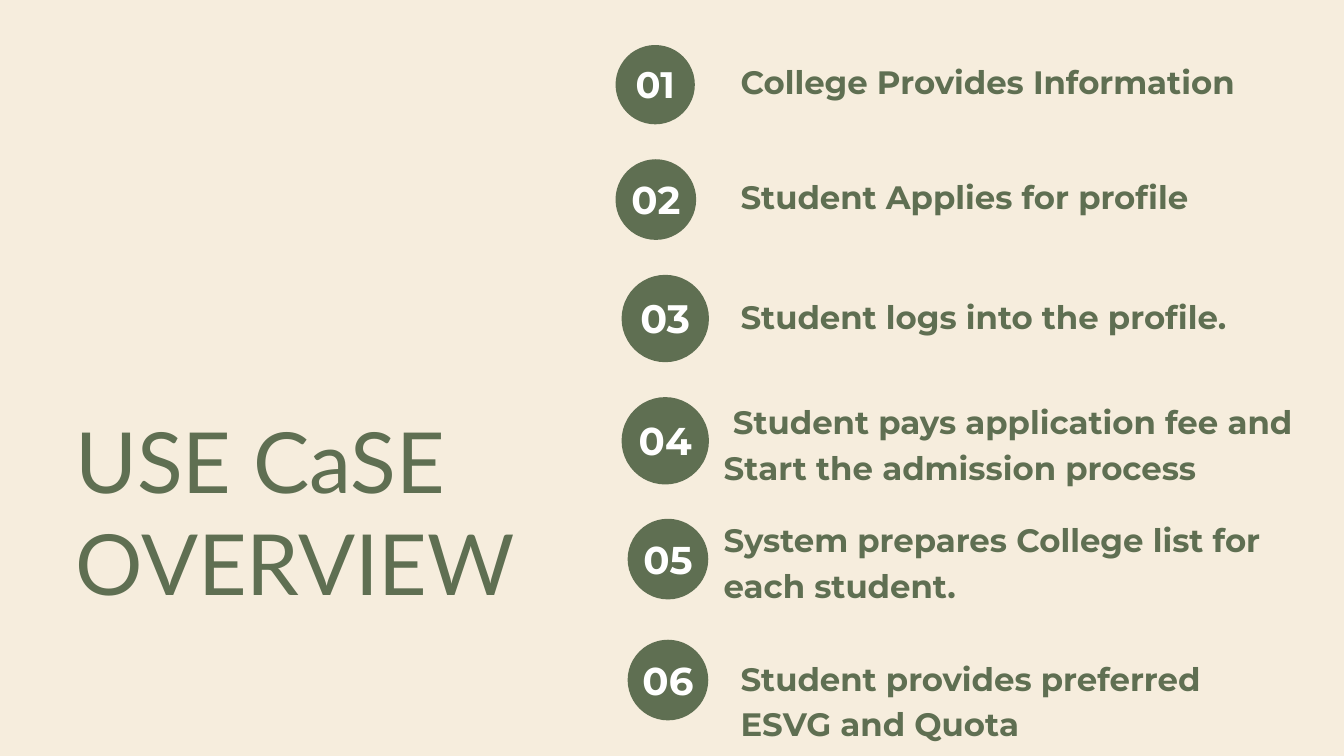
from typing import NamedTuple

from pptx import Presentation
from pptx.dml.color import RGBColor
from pptx.enum.shapes import MSO_SHAPE
from pptx.enum.text import MSO_ANCHOR, MSO_AUTO_SIZE, PP_ALIGN
from pptx.slide import Slide
from pptx.text.text import TextFrame
from pptx.util import Inches, Pt

CREAM = RGBColor(0xF6, 0xED, 0xDD)
GREEN = RGBColor(0x5F, 0x6F, 0x52)
WHITE = RGBColor(0xFF, 0xFF, 0xFF)


class Badge(NamedTuple):
    left: float
    top: float
    diameter: float
    number_size: float = 41.5
    leading: float = 58.1


class Step(NamedTuple):
    text: str
    left: float
    top: float
    width: float
    height: float
    badge: Badge


class TextStyle(NamedTuple):
    font: str
    size: float
    leading: float
    color: RGBColor = GREEN
    bold: bool = True
    align: PP_ALIGN = PP_ALIGN.LEFT
    anchor: MSO_ANCHOR = MSO_ANCHOR.TOP
    margin: float = 0


STEPS = [
    Step("College Provides Information", 11.02, 0.82, 7.59, 1.31,
         Badge(9.16, 0.67, 1.18, 39.5, 55.3)),
    Step("Student Applies for profile", 11.02, 2.54, 7.59, 1.31,
         Badge(9.16, 2.37, 1.2)),
    Step("Student logs into the profile.", 11.02, 4.32, 7.59, 1.31,
         Badge(9.25, 4.09, 1.3, 42.5, 59.5)),
    Step(" Student pays application fee and\nStart the admission process",
         10.77, 5.89, 8.98, 1.98, Badge(9.25, 5.91, 1.3)),
    Step("System prepares College list for each student.",
         10.77, 7.65, 8.18, 1.98, Badge(9.34, 7.72, 1.2)),
    Step("Student provides preferred ESVG and Quota",
         11.02, 9.71, 7.59, 1.31, Badge(9.34, 9.52, 1.2)),
]
TITLE_STYLE = TextStyle("Lato", 90.3, 109.3, bold=False)
STEP_STYLE = TextStyle("Montserrat", 34.7, 48.6)


def write(frame: TextFrame, text: str, style: TextStyle) -> None:
    """Fill the frame, one paragraph per line of text."""
    frame.text = text
    margin = Inches(style.margin)
    frame_format = {
        "word_wrap": True,
        "auto_size": MSO_AUTO_SIZE.NONE,
        "vertical_anchor": style.anchor,
        "margin_left": margin,
        "margin_top": margin,
        "margin_right": margin,
        "margin_bottom": margin,
    }
    for name, value in frame_format.items():
        setattr(frame, name, value)
    font_format = {"name": style.font, "size": Pt(style.size), "bold": style.bold}
    for paragraph in frame.paragraphs:
        paragraph.alignment = style.align
        paragraph.line_spacing = Pt(style.leading)
        for run in paragraph.runs:
            for name, value in font_format.items():
                setattr(run.font, name, value)
            run.font.color.rgb = style.color


def add_text(slide: Slide, text: str, left: float, top: float,
             width: float, height: float, style: TextStyle) -> None:
    box = slide.shapes.add_textbox(
        Inches(left), Inches(top), Inches(width), Inches(height))
    write(box.text_frame, text, style)


def add_badge(slide: Slide, badge: Badge, number: int) -> None:
    diameter = badge.diameter
    circle = slide.shapes.add_shape(
        MSO_SHAPE.OVAL, Inches(badge.left), Inches(badge.top),
        Inches(diameter), Inches(diameter))
    circle.shadow.inherit = False
    circle.fill.solid()
    circle.fill.fore_color.rgb = GREEN
    circle.line.fill.background()
    number_style = TextStyle(
        "Montserrat", badge.number_size, badge.leading, WHITE,
        align=PP_ALIGN.CENTER, anchor=MSO_ANCHOR.MIDDLE, margin=0.06)
    add_text(slide, f"{number:02}", badge.left + 0.09 * diameter, badge.top - 0.02,
             0.82 * diameter, 0.93 * diameter, number_style)


def add_title(slide: Slide, text: str) -> None:
    title = slide.shapes.title
    position = {"left": 1.12, "top": 6.07, "width": 7.28, "height": 3.02}
    for name, value in position.items():
        setattr(title, name, Inches(value))
    write(title.text_frame, text, TITLE_STYLE)


def main() -> None:
    presentation = Presentation()
    presentation.slide_width = Inches(20)
    presentation.slide_height = Inches(11.25)
    slide = presentation.slides.add_slide(
        presentation.slide_layouts.get_by_name("Title Only"))
    slide.background.fill.solid()
    slide.background.fill.fore_color.rgb = CREAM

    add_title(slide, "USE CaSE\nOVERVIEW")
    for number, step in enumerate(STEPS, start=1):
        add_badge(slide, step.badge, number)
        add_text(slide, step.text, step.left, step.top,
                 step.width, step.height, STEP_STYLE)
    presentation.save("out.pptx")


if __name__ == "__main__":
    main()
